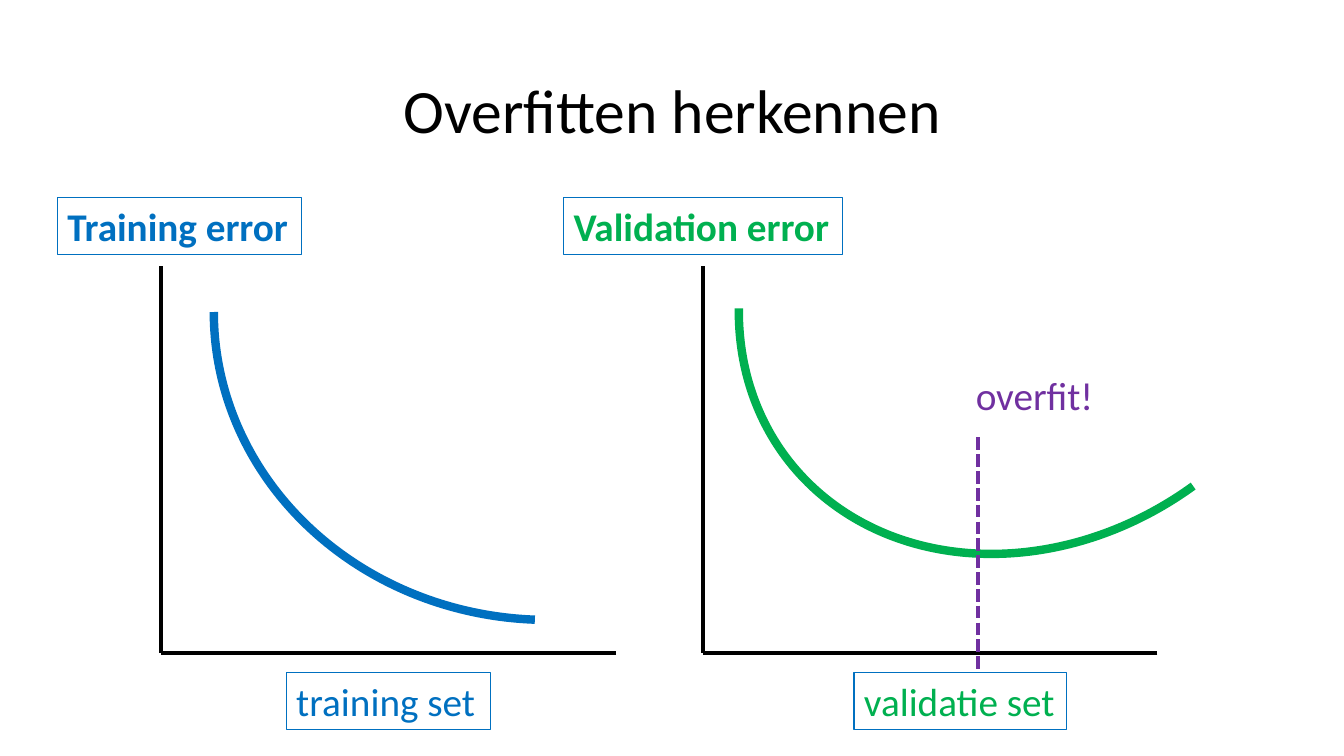
from lxml.etree import SubElement
from pptx import Presentation
from pptx.dml.color import RGBColor
from pptx.enum.dml import MSO_LINE_DASH_STYLE as Dash
from pptx.enum.shapes import MSO_CONNECTOR as Connector, MSO_SHAPE as Shape
from pptx.enum.text import MSO_ANCHOR as Anchor, MSO_AUTO_SIZE as AutoSize, PP_ALIGN as Align
from pptx.oxml.ns import qn
from pptx.util import Emu, Pt

BLACK = RGBColor(0x00, 0x00, 0x00)
BLUE = RGBColor(0x00, 0x70, 0xC0)
GREEN = RGBColor(0x00, 0xB0, 0x50)
PURPLE = RGBColor(0x70, 0x30, 0xA0)

AXIS_TOP, AXIS_BOTTOM, AXIS_LENGTH = 264, 648, 451
ERROR_TOP, SET_TOP, LABEL_HEIGHT = 196, 667, 57


def px(length):
    """Turn px, at 100 to the inch, into EMU."""
    return Emu(length * 9144)


class SlideBuilder:
    """Draws styled elements on the current slide."""

    font = "Calibri"
    label_size = 28

    def __init__(self, slide):
        self.slide = slide

    def text(self, words, left, top, width, height, color, size, bold=False):
        box = self.slide.shapes.add_textbox(px(left), px(top), px(width), px(height))
        paragraph = box.text_frame.paragraphs[0]
        run = paragraph.add_run()
        run.text = words
        run.font.name = self.font
        run.font.size = Pt(size)
        run.font.bold = bold
        run.font.color.rgb = color
        return box

    def title(self, words, left, top, width, height):
        frame = self.text(words, left, top, width, height, BLACK, 44).text_frame
        frame.word_wrap = True
        frame.vertical_anchor = Anchor.MIDDLE
        paragraph = frame.paragraphs[0]
        paragraph.alignment = Align.CENTER
        paragraph.line_spacing = 0.9

    def label(self, words, left, top, width, color, bold=False, framed=True):
        box = self.text(words, left, top, width, LABEL_HEIGHT, color, self.label_size, bold)
        box.text_frame.word_wrap = False
        box.text_frame.auto_size = AutoSize.SHAPE_TO_FIT_TEXT
        if framed:
            box.line.color.rgb = BLUE
            box.line.width = Pt(0.75)

    def line(self, x1, y1, x2, y2, color=BLACK, dash=None):
        connector = self.slide.shapes.add_connector(
            Connector.STRAIGHT, px(x1), px(y1), px(x2), px(y2))
        connector.line.color.rgb = color
        connector.line.width = Pt(3)
        if dash:
            connector.line.dash_style = dash
        SubElement(connector._element.spPr, qn("a:effectLst"))

    def axes(self, left):
        self.line(left, AXIS_TOP, left, AXIS_BOTTOM)
        self.line(left + AXIS_LENGTH, AXIS_BOTTOM, left, AXIS_BOTTOM)

    def curve(self, left, top, width, height, rotation, end, color):
        arc = self.slide.shapes.add_shape(
            Shape.ARC, px(left), px(top), px(width), px(height))
        arc.shadow.inherit = False
        arc.rotation = rotation
        arc.adjustments[0] = 163.47
        arc.adjustments[1] = end
        arc.fill.background()
        arc.line.color.rgb = color
        arc.line.width = Pt(6)


def main():
    presentation = Presentation()
    presentation.slide_width = px(1333)
    presentation.slide_height = px(750)
    builder = SlideBuilder(presentation.slides.add_slide(presentation.slide_layouts[6]))

    builder.title("Overfitten herkennen", 92, 40, 1150, 145)

    builder.axes(160)
    builder.label("Training error", 57, ERROR_TOP, 242, BLUE, bold=True)
    builder.curve(212, 4, 663, 611, 180, 0, BLUE)

    builder.axes(697)
    builder.curve(716, -2, 627, 533, 142.3, 17.86, GREEN)
    builder.label("Validation error", 559, ERROR_TOP, 277, GREEN, bold=True)

    builder.label("training set ", 284, SET_TOP, 203, BLUE)
    builder.label("validatie set", 847, SET_TOP, 211, GREEN)

    builder.line(970, 434, 970, 667, PURPLE, Dash.SQUARE_DOT)
    builder.label("overfit!", 958, 363, 143, PURPLE, framed=False)

    presentation.save("out.pptx")


if __name__ == "__main__":
    main()
